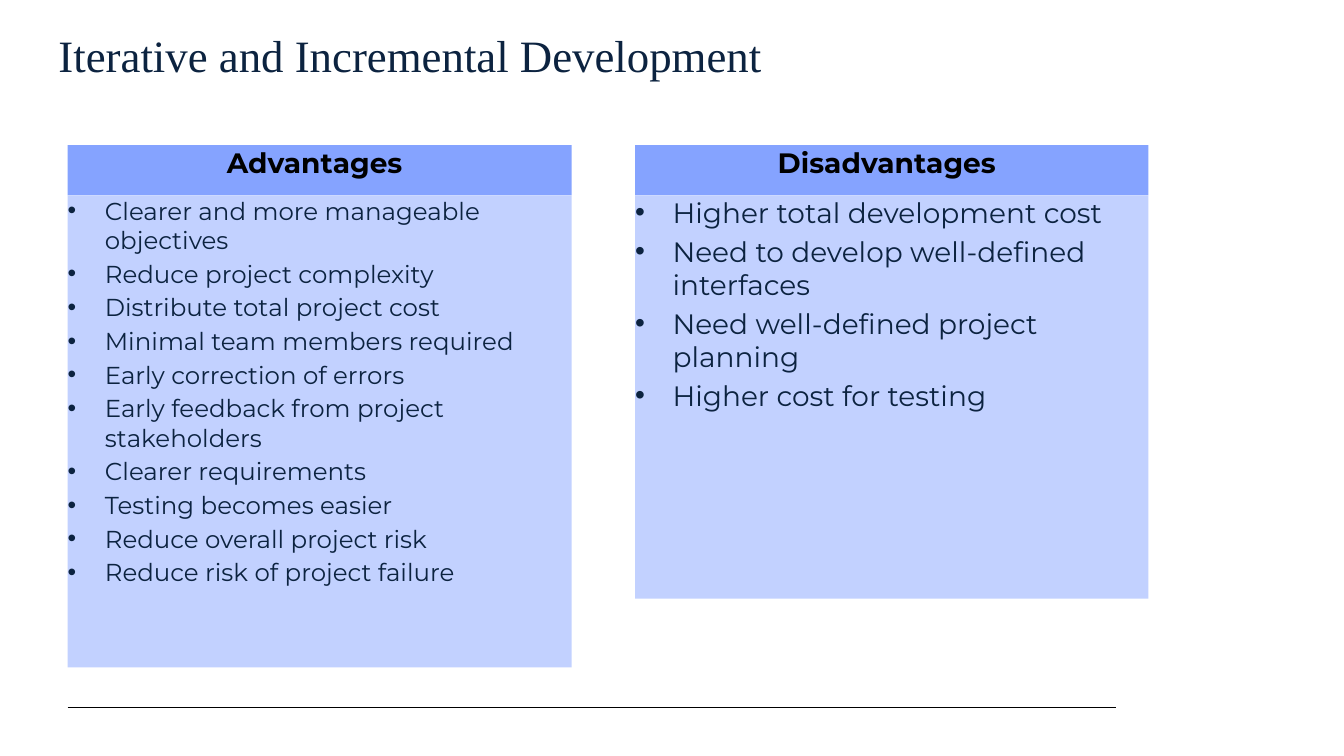
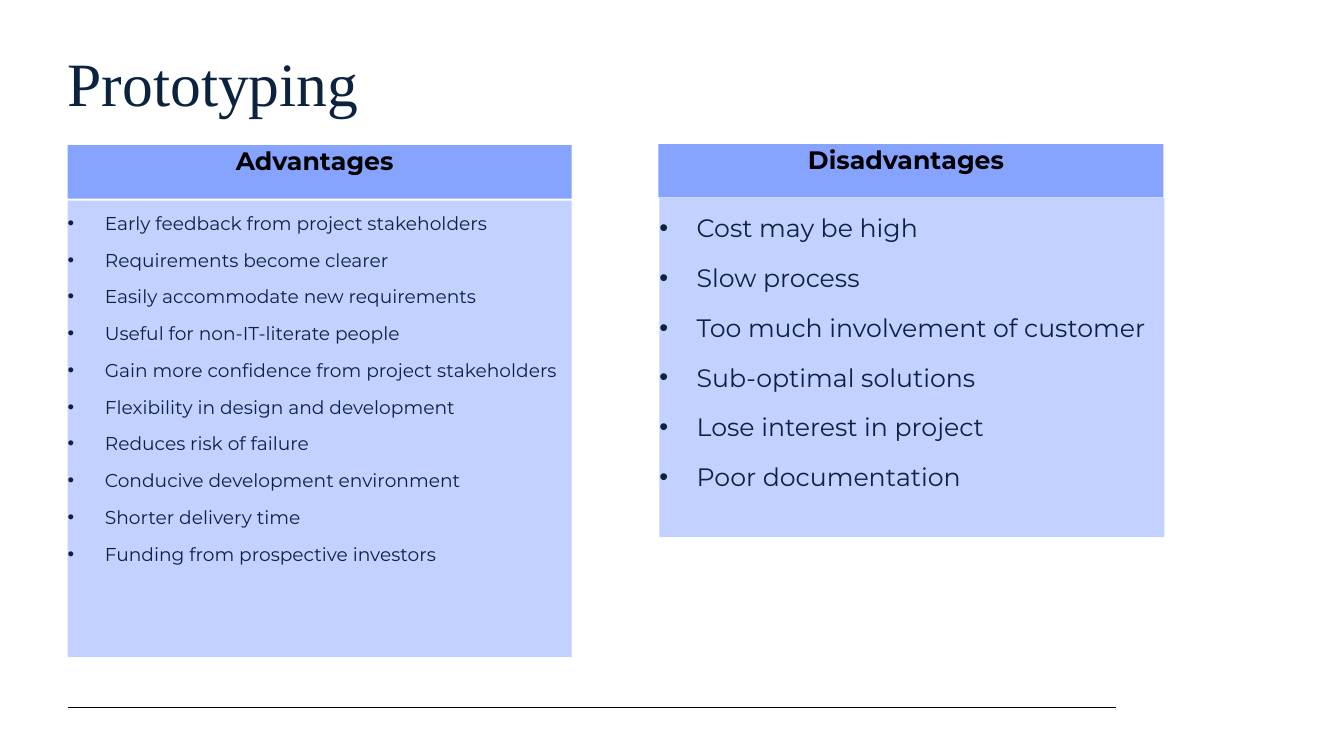
from lxml import etree
from pptx import Presentation
from pptx.dml.color import RGBColor
from pptx.enum.shapes import MSO_CONNECTOR, MSO_SHAPE
from pptx.enum.text import MSO_ANCHOR, MSO_AUTO_SIZE, PP_ALIGN
from pptx.oxml.ns import qn
from pptx.util import Inches, Pt

NAVY, BLACK = "0C2340", "000000"
HEADER_BLUE, BODY_BLUE = "85A3FF", "C2D1FF"
TITLE_FONT, BODY_FONT = "Times New Roman", "Montserrat"
INDENT = Inches(0.37)


def color(hex_string):
    return RGBColor.from_string(hex_string)


def set_text(shape, lines, size, font, ink, bold=False, align=PP_ALIGN.LEFT,
             bulleted=False, spacing=None):
    frame = shape.text_frame
    frame.word_wrap = True
    frame.auto_size = MSO_AUTO_SIZE.NONE
    frame.vertical_anchor = MSO_ANCHOR.TOP
    frame.margin_left = frame.margin_top = 0
    frame.margin_right, frame.margin_bottom = Inches(0.1), Inches(0.05)
    frame.text = "\n".join(lines)
    for index, paragraph in enumerate(frame.paragraphs):
        paragraph.alignment = align
        paragraph.space_before = Pt(size * 0.175 if index else 0)
        if spacing:
            paragraph.line_spacing = spacing
        if bulleted:
            properties = paragraph._p.get_or_add_pPr()
            properties.set("marL", str(INDENT))
            properties.set("indent", str(-INDENT))
            etree.SubElement(properties, qn("a:buFont"), typeface="Arial")
            etree.SubElement(properties, qn("a:buChar"), char="•")
        paragraph.font.size = Pt(size)
        paragraph.font.name = font
        paragraph.font.bold = bold
        paragraph.font.color.rgb = color(ink)


comparisons = [
    {
        "title": "Iterative and Incremental Development",
        "title_place": (0.58, 0.27), "title_size": 32,
        "heading_size": 20, "spacing": None,
        "columns": [
            ("Advantages", (0.67, 1.44, 5, 0.5), (0.67, 1.94, 5, 4.68), 17.5, [
                "Clearer and more manageable objectives",
                "Reduce project complexity",
                "Distribute total project cost",
                "Minimal team members required",
                "Early correction of errors",
                "Early feedback from project stakeholders",
                "Clearer requirements",
                "Testing becomes easier",
                "Reduce overall project risk",
                "Reduce risk of project failure",
            ]),
            ("Disadvantages", (6.3, 1.44, 5.09, 0.5), (6.3, 1.94, 5.09, 4), 20, [
                "Higher total development cost",
                "Need to develop well-defined interfaces",
                "Need well-defined project planning",
                "Higher cost for testing",
            ]),
        ],
    },
    {
        "title": "Prototyping",
        "title_place": (0.67, 0.45), "title_size": 44,
        "heading_size": 18, "spacing": 1.5,
        "columns": [
            ("Advantages", (0.67, 1.44, 5, 0.53), (0.67, 1.99, 5, 4.53), 13.3, [
                "Early feedback from project stakeholders",
                "Requirements become clearer",
                "Easily accommodate new requirements",
                "Useful for non-IT-literate people",
                "Gain more confidence from project stakeholders",
                "Flexibility in design and development",
                "Reduces risk of failure",
                "Conducive development environment",
                "Shorter delivery time",
                "Funding from prospective investors",
            ]),
            ("Disadvantages", (6.53, 1.43, 5.01, 0.53), (6.54, 1.96, 5.01, 3.37), 18, [
                "Cost may be high",
                "Slow process",
                "Too much involvement of customer",
                "Sub-optimal solutions",
                "Lose interest in project",
                "Poor documentation",
            ]),
        ],
    },
]

presentation = Presentation()
presentation.slide_width, presentation.slide_height = Inches(13.33), Inches(7.5)
title_only = presentation.slide_layouts[5]

for comparison in comparisons:
    slide = presentation.slides.add_slide(title_only)

    footer_rule = slide.shapes.add_connector(
        MSO_CONNECTOR.STRAIGHT, Inches(0.67), Inches(7.02), Inches(11.07), Inches(7.02))
    footer_rule.line.color.rgb = color(BLACK)
    footer_rule.line.width = Pt(0.75)
    etree.SubElement(footer_rule._element.spPr, qn("a:effectLst"))

    title = slide.shapes.title
    title.left, title.top = map(Inches, comparison["title_place"])
    title.width, title.height = Inches(10.62), Inches(0.93)
    set_text(title, [comparison["title"]], comparison["title_size"], TITLE_FONT, NAVY)

    for heading, heading_place, points_place, points_size, points in comparison["columns"]:
        heading_band, points_panel = [
            slide.shapes.add_shape(MSO_SHAPE.RECTANGLE, *map(Inches, place))
            for place in (heading_place, points_place)]
        for panel, fill in ((heading_band, HEADER_BLUE), (points_panel, BODY_BLUE)):
            panel.shadow.inherit = False
            panel.fill.solid()
            panel.fill.fore_color.rgb = color(fill)
            panel.line.fill.background()
        set_text(heading_band, [heading], comparison["heading_size"], BODY_FONT, BLACK,
                 bold=True, align=PP_ALIGN.CENTER)
        set_text(points_panel, points, points_size, BODY_FONT, NAVY,
                 bulleted=True, spacing=comparison["spacing"])

presentation.save("out.pptx")
